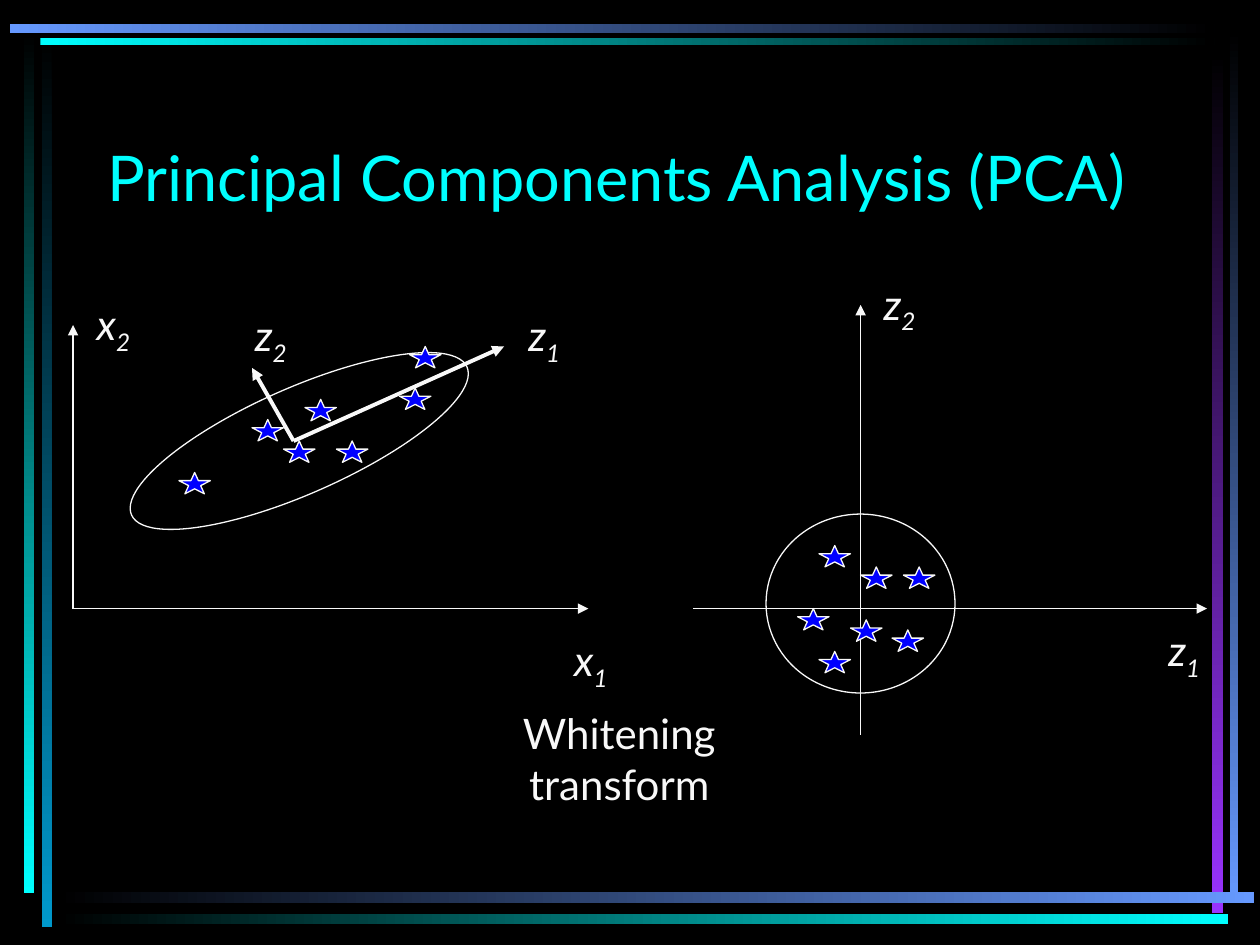
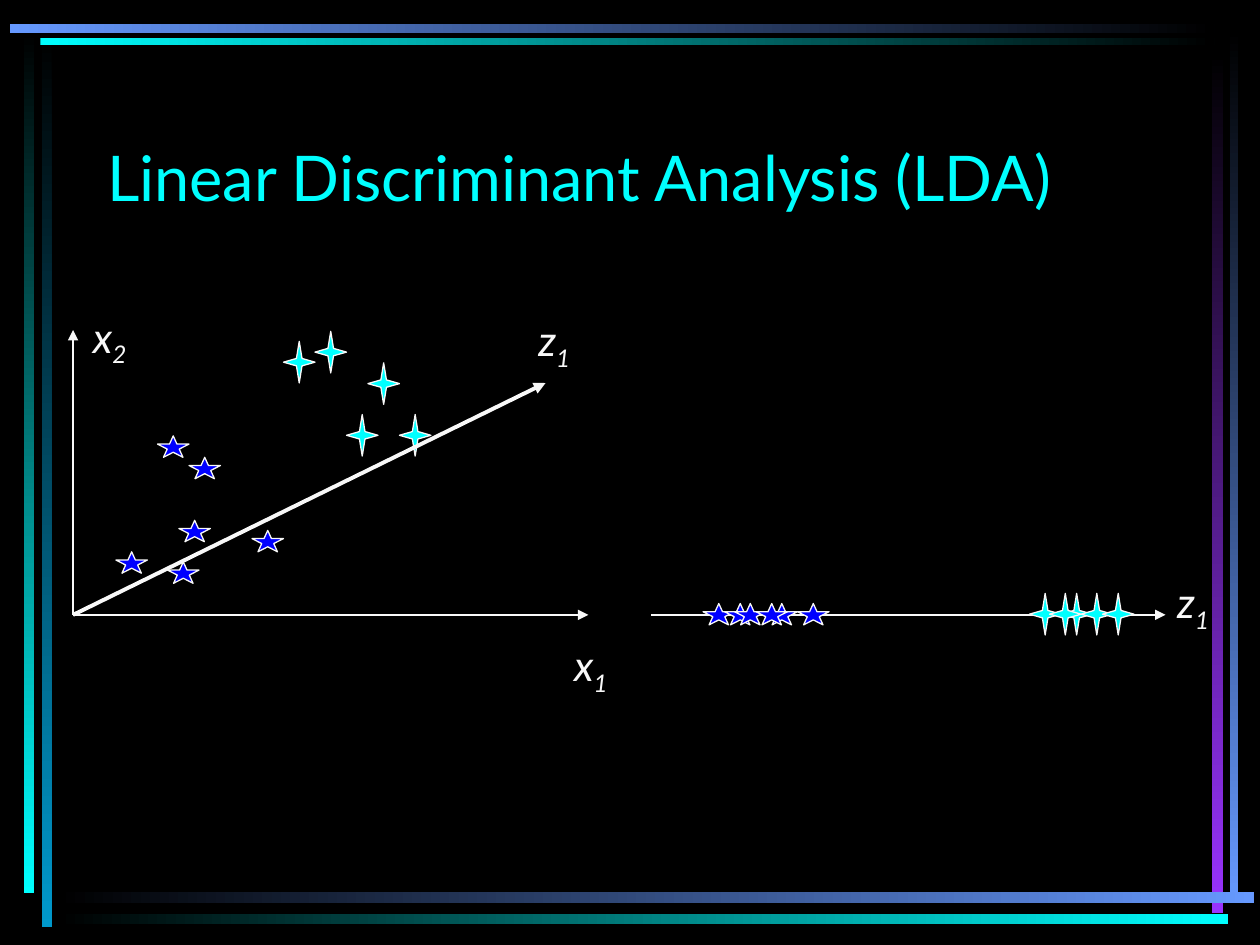
from dataclasses import dataclass
from typing import NamedTuple

from lxml.etree import SubElement
from pptx import Presentation
from pptx.dml.color import RGBColor as RGB
from pptx.enum.shapes import MSO_CONNECTOR as CONN, MSO_SHAPE as SHAPE
from pptx.enum.text import MSO_ANCHOR as ANCHOR, MSO_AUTO_SIZE as AUTO, PP_ALIGN as ALIGN
from pptx.oxml.ns import qn
from pptx.util import Inches, Pt


# Theme: colours and type sizes
@dataclass(frozen=True)
class Theme:
    font: str = "Lato"
    title_size: int = 36
    body_size: int = 24
    thin: float = 0.75
    thick: float = 2.25
    black: str = "000000"
    white: str = "F8F8F8"
    cyan: str = "00FFFF"
    teal: str = "0099CC"
    blue: str = "0000FF"
    sky: str = "6699FF"
    purple: str = "9933FF"


T = Theme()
STAR_SIZE = (0.25, 0.17)
CROSS_SIZE = (0.25, 0.33)
LABEL_SIZE = (0.5, 0.56)

Point = tuple[float, float]


class Band(NamedTuple):
    x: float
    y: float
    w: float
    h: float
    start: str
    end: str


class Arrow(NamedTuple):
    start: Point
    end: Point
    width: float = T.thin


class Ellipse(NamedTuple):
    x: float
    y: float
    w: float
    h: float
    rotation: float = 0


class Label(NamedTuple):
    x: float
    y: float
    letter: str
    index: str


@dataclass(frozen=True)
class Plot:
    axes: tuple[Arrow, ...]
    labels: tuple[Label, ...]
    ellipse: Ellipse | None = None
    stars: tuple[Point, ...] = ()
    crosses: tuple[Point, ...] = ()
    vectors: tuple[Arrow, ...] = ()


# Frame of fading bands, shared by both slides
BANDS = (
    Band(0.33, 0.28, 0.08, 7.08, T.black, T.teal),
    Band(0.19, 0.25, 0.08, 6.84, T.black, T.cyan),
    Band(9.76, 0.24, 0.07, 6.93, T.black, T.sky),
    Band(9.62, 0.42, 0.09, 6.83, T.black, T.purple),
    Band(0.45, 7.08, 9.5, 0.09, T.black, T.sky),
    Band(0.45, 7.25, 9.3, 0.08, T.black, T.cyan),
    Band(0.32, 0.3, 9.32, 0.06, T.cyan, T.black),
    Band(0.08, 0.19, 9.56, 0.07, T.sky, T.black),
)

# PCA: correlated data, then the whitened data
PCA_INPUT = Plot(
    axes=(Arrow((0.58, 4.83), (4.67, 4.83)), Arrow((0.58, 4.83), (0.58, 2.58))),
    ellipse=Ellipse(0.92, 3.08, 2.91, 0.84, 336.2),
    stars=((2, 3.33), (2.67, 3.5), (2.25, 3.5), (3.25, 2.75),
           (2.42, 3.17), (3.17, 3.08), (1.42, 3.75)),
    vectors=(Arrow((2.33, 3.5), (4, 2.75), T.thick),
             Arrow((2.33, 3.5), (2, 2.92), T.thick)),
    labels=(Label(1.9, 2.41, "z", "2"), Label(4.44, 4.99, "x", "1"),
            Label(4.07, 2.41, "z", "1"), Label(0.65, 2.32, "x", "2")),
)
PCA_WHITENED = Plot(
    axes=(Arrow((5.5, 4.83), (9.58, 4.83)), Arrow((6.83, 5.83), (6.83, 2.42))),
    ellipse=Ellipse(6.08, 4.08, 1.5, 1.42),
    stars=((6.5, 5.17), (6.83, 4.5), (7.08, 5), (6.33, 4.83),
           (6.75, 4.92), (6.5, 4.33), (7.17, 4.5)),
    labels=(Label(6.89, 2.16, "z", "2"), Label(9.15, 4.91, "z", "1")),
)

# LDA: two classes, then their projection on z1
LDA_INPUT = Plot(
    axes=(Arrow((0.58, 4.88), (4.67, 4.88)), Arrow((0.58, 4.88), (0.58, 2.62))),
    stars=((1.5, 3.63), (0.92, 4.38), (1.42, 4.13), (1.33, 4.46),
           (2, 4.21), (1.25, 3.46)),
    crosses=((2.92, 2.88), (2.25, 2.71), (3.17, 3.29), (2.75, 3.29), (2.5, 2.63)),
    vectors=(Arrow((0.58, 4.88), (4.33, 3.04), T.thick),),
    labels=(Label(4.44, 5.03, "x", "1"), Label(4.15, 2.45, "z", "1"),
            Label(0.62, 2.42, "x", "2")),
)
LDA_PROJECTED = Plot(
    axes=(Arrow((5.17, 4.88), (9.25, 4.88)),),
    stars=tuple((x, 4.79) for x in (5.58, 5.75, 5.83, 6.08, 6, 6.33)),
    crosses=tuple((x, 4.71) for x in (8.17, 8.42, 8.33, 8.58, 8.75)),
    labels=(Label(9.22, 4.53, "z", "1"),),
)


def set_all(target, values: dict) -> None:
    for name, value in values.items():
        setattr(target, name, value)


def format_font(font, size: int, color: str, italic: bool = False) -> None:
    set_all(font, {"name": T.font, "size": Pt(size), "italic": italic})
    font.color.rgb = RGB.from_string(color)


def add_marker(s, kind: SHAPE, x: float, y: float, w: float, h: float,
               fill: str | None = None):
    sp = s.shapes.add_shape(kind, *map(Inches, (x, y, w, h)))
    sp.shadow.inherit = False
    if fill:
        sp.fill.solid()
        sp.fill.fore_color.rgb = RGB.from_string(fill)
    else:
        sp.fill.background()
    sp.line.color.rgb = RGB.from_string(T.white)
    sp.line.width = Pt(T.thin)
    return sp


def add_arrow(s, arrow: Arrow) -> None:
    ends = map(Inches, (*arrow.start, *arrow.end))
    cx = s.shapes.add_connector(CONN.STRAIGHT, *ends)
    cx.line.color.rgb = RGB.from_string(T.white)
    cx.line.width = Pt(arrow.width)
    sp_pr = cx.element.spPr
    SubElement(sp_pr.find(qn("a:ln")), qn("a:tailEnd"), type="triangle")
    SubElement(sp_pr, qn("a:effectLst"))


def add_text_frame(s, x: float, y: float, w: float, h: float):
    tf = s.shapes.add_textbox(*map(Inches, (x, y, w, h))).text_frame
    set_all(tf, {"word_wrap": False, "auto_size": AUTO.SHAPE_TO_FIT_TEXT})
    return tf


def add_label(s, label: Label) -> None:
    p = add_text_frame(s, label.x, label.y, *LABEL_SIZE).paragraphs[0]
    p.alignment = ALIGN.CENTER
    for text in (label.letter, label.index):
        r = p.add_run()
        r.text = text
        format_font(r.font, T.body_size, T.white, italic=True)
    r._r.get_or_add_rPr().set("baseline", "-25000")  # subscript index


def add_caption(s, x: float, y: float, w: float, h: float, lines: list[str]) -> None:
    tf = add_text_frame(s, x, y, w, h)
    tf.text = "\n".join(lines)
    for p in tf.paragraphs:
        p.alignment = ALIGN.CENTER
        format_font(p.runs[0].font, T.body_size, T.white)


def add_plot(s, plot: Plot) -> None:
    for axis in plot.axes:
        add_arrow(s, axis)
    if plot.ellipse:
        *box, rotation = plot.ellipse
        add_marker(s, SHAPE.OVAL, *box).rotation = rotation
    for star in plot.stars:
        add_marker(s, SHAPE.STAR_5_POINT, *star, *STAR_SIZE, T.blue)
    for cross in plot.crosses:
        add_marker(s, SHAPE.STAR_4_POINT, *cross, *CROSS_SIZE, T.cyan)
    for vector in plot.vectors:
        add_arrow(s, vector)
    for label in plot.labels:
        add_label(s, label)


def add_frame(s, layout) -> None:
    """Draw the bands with the slide's shape factory and keep them on the layout."""
    layout.background.fill.solid()
    layout.background.fill.fore_color.rgb = RGB.from_string(T.black)
    for band in BANDS:
        sp = s.shapes.add_shape(SHAPE.RECTANGLE, *map(Inches, band[:4]))
        sp.shadow.inherit = False
        sp.line.fill.background()
        sp.fill.gradient()
        sp.fill.gradient_angle = 270 if band.h > band.w else 0
        for stop, color in zip(sp.fill.gradient_stops, (band.start, band.end)):
            stop.color.rgb = RGB.from_string(color)
        layout.shapes.element.append(sp.element)


def add_slide(prs, layout, title: str, plots: tuple[Plot, ...]):
    s = prs.slides.add_slide(layout)
    sp = s.shapes.title
    set_all(sp, {"left": Inches(0.75), "top": Inches(0.67),
                 "width": Inches(8.5), "height": Inches(1.08)})
    tf = sp.text_frame
    set_all(tf, {"text": title, "vertical_anchor": ANCHOR.BOTTOM,
                 "word_wrap": True, "auto_size": AUTO.NONE})
    p = tf.paragraphs[0]
    p.alignment = ALIGN.LEFT
    format_font(p.runs[0].font, T.title_size, T.cyan)
    for plot in plots:
        add_plot(s, plot)
    return s


def main() -> None:
    prs = Presentation()
    set_all(prs, {"slide_width": Inches(10), "slide_height": Inches(7.5)})
    layout = prs.slide_layouts.get_by_name("Title Only")

    pca = add_slide(prs, layout, "Principal Components Analysis (PCA)",
                    (PCA_INPUT, PCA_WHITENED))
    add_caption(pca, 4.01, 5.57, 1.81, 0.9, ["Whitening", "transform"])
    add_slide(prs, layout, "Linear Discriminant Analysis (LDA)",
              (LDA_INPUT, LDA_PROJECTED))
    add_frame(pca, layout)
    prs.save("out.pptx")


if __name__ == "__main__":
    main()
